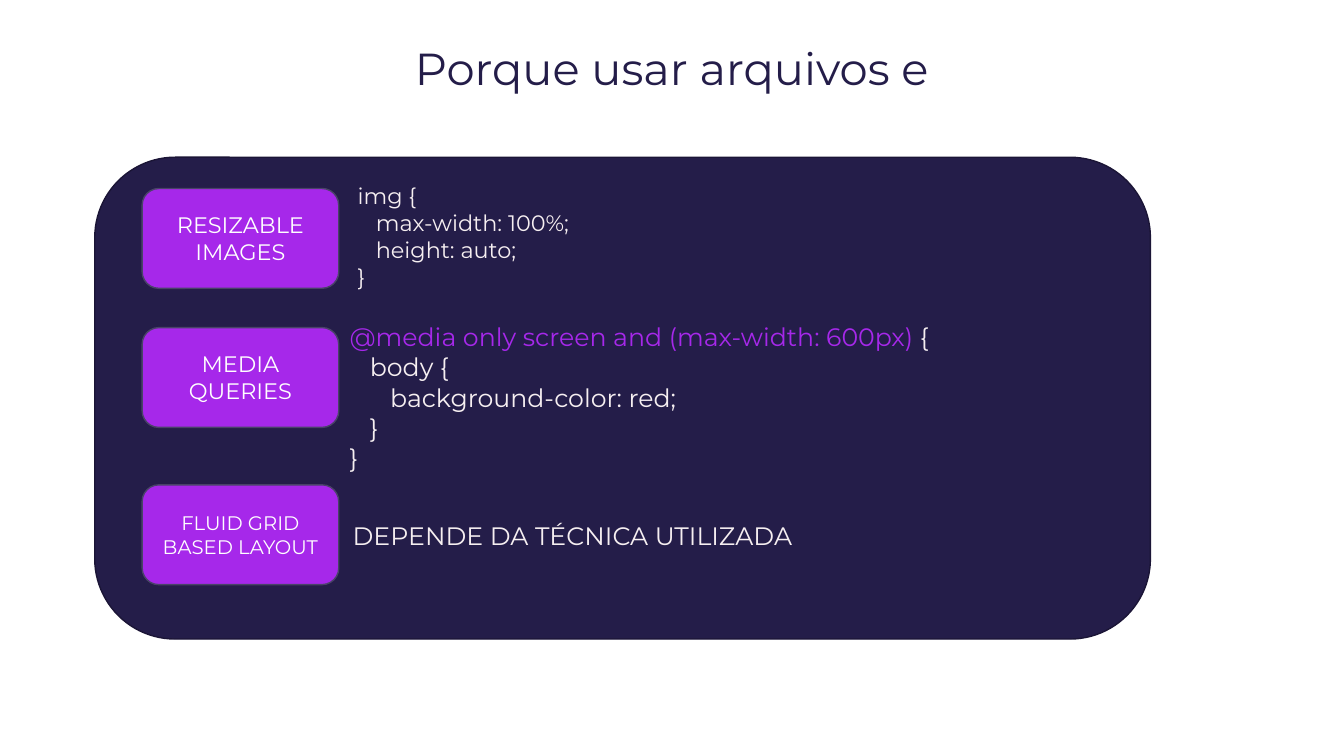
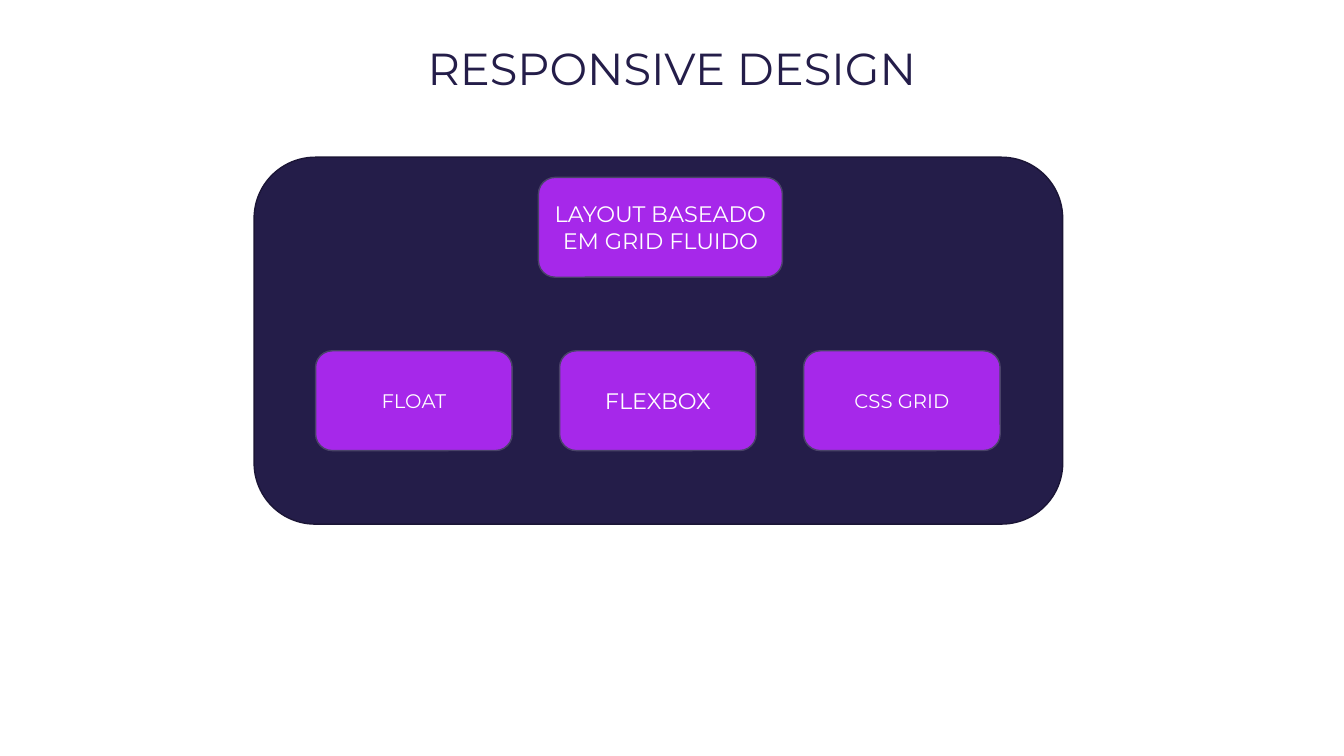
from dataclasses import dataclass

from pptx import Presentation
from pptx.dml.color import RGBColor
from pptx.enum.shapes import MSO_SHAPE
from pptx.enum.text import MSO_ANCHOR, MSO_AUTO_SIZE, PP_ALIGN
from pptx.slide import Slide
from pptx.util import Inches, Pt

ROUNDED = MSO_SHAPE.ROUNDED_RECTANGLE
TOP, MIDDLE = MSO_ANCHOR.TOP, MSO_ANCHOR.MIDDLE
LEFT, CENTER = PP_ALIGN.LEFT, PP_ALIGN.CENTER
NO_FIT, GROW = MSO_AUTO_SIZE.NONE, MSO_AUTO_SIZE.SHAPE_TO_FIT_TEXT
TITLE_ONLY = 5


@dataclass(frozen=True)
class Theme:
    font: str = "Montserrat"
    navy: str = "241D49"
    panel_edge: str = "1B1536"
    purple: str = "A628EA"
    label_edge: str = "494368"
    white: str = "FFFFFF"
    code: str = "F6EFF1"
    title_size: int = 32
    large: int = 18
    medium: int = 16
    small: int = 14


THEME = Theme()


@dataclass(frozen=True)
class Box:
    left: float
    top: float
    width: float
    height: float

    def lengths(self) -> tuple[Inches, Inches, Inches, Inches]:
        return (Inches(self.left), Inches(self.top),
                Inches(self.width), Inches(self.height))


@dataclass(frozen=True)
class Label:
    text: str
    box: Box
    size: int = THEME.medium


@dataclass(frozen=True)
class Span:
    text: str
    color: str = THEME.code


@dataclass(frozen=True)
class Line:
    spans: tuple[Span, ...]
    level: int = 0


@dataclass(frozen=True)
class Snippet:
    box: Box
    size: int
    lines: tuple[Line, ...]
    indent: float = 0


TITLE_BOX = Box(3.9, 0.35, 5.53, 0.64)
LABEL_WIDTH, LABEL_HEIGHT = 1.95, 0.99
TECHNIQUE_LEFT = 1.41
GRID_LEFT, GRID_TOP, GRID_STEP = 3.13, 3.48, 2.42


def code_line(text: str, level: int = 0) -> Line:
    return Line((Span(text),), level)


def label_box(left: float, top: float) -> Box:
    return Box(left, top, LABEL_WIDTH, LABEL_HEIGHT)


TECHNIQUES = (
    Label("RESIZABLE IMAGES", label_box(TECHNIQUE_LEFT, 1.87)),
    Label("MEDIA QUERIES", label_box(TECHNIQUE_LEFT, 3.25)),
    Label("FLUID GRID BASED LAYOUT", label_box(TECHNIQUE_LEFT, 4.81), THEME.small),
)

SNIPPETS = (
    Snippet(Box(3.45, 1.76, 7.74, 1.18), THEME.medium, (
        code_line("img {"),
        code_line("max-width: 100%;", 1),
        code_line("height: auto;", 1),
        code_line("}"),
    ), 0.18),
    Snippet(Box(3.37, 3.14, 6.28, 1.62), THEME.large, (
        Line((Span("@media only screen and (max-width: 600px) ", THEME.purple),
              Span("{"))),
        code_line("body {", 1),
        code_line("background-color: red;", 2),
        code_line("}", 1),
        code_line("}"),
    ), 0.2),
    Snippet(Box(3.4, 5.11, 7.97, 0.4), THEME.large,
            (code_line("DEPENDE DA TÉCNICA UTILIZADA"),)),
)

GRID_OPTIONS = (("FLOAT", THEME.small), ("FLEXBOX", THEME.medium),
                ("CSS GRID", THEME.small))
GRID_LABELS = (
    Label("LAYOUT BASEADO EM GRID FLUIDO", Box(5.34, 1.76, 2.42, LABEL_HEIGHT)),
    *(Label(text, label_box(GRID_LEFT + column * GRID_STEP, GRID_TOP), size)
      for column, (text, size) in enumerate(GRID_OPTIONS)),
)


def style_run(run, size: int, color: str) -> None:
    run.font.name = THEME.font
    run.font.size = Pt(size)
    run.font.color.rgb = RGBColor.from_string(color)


def add_titled_slide(deck, title: str) -> Slide:
    slide = deck.slides.add_slide(deck.slide_layouts[TITLE_ONLY])
    heading = slide.shapes.title
    heading.left, heading.top, heading.width, heading.height = TITLE_BOX.lengths()
    frame = heading.text_frame
    frame.text = title
    frame.word_wrap = False
    frame.auto_size = NO_FIT
    frame.vertical_anchor = TOP
    frame.paragraphs[0].alignment = CENTER
    style_run(frame.paragraphs[0].runs[0], THEME.title_size, THEME.navy)
    return slide


def add_rounded(slide: Slide, box: Box, fill: str, edge: str):
    shape = slide.shapes.add_shape(ROUNDED, *box.lengths())
    shape.shadow.inherit = False
    shape.fill.solid()
    shape.fill.fore_color.rgb = RGBColor.from_string(fill)
    shape.line.color.rgb = RGBColor.from_string(edge)
    shape.line.width = Pt(1)
    return shape


def add_panel(slide: Slide, box: Box) -> None:
    add_rounded(slide, box, THEME.navy, THEME.panel_edge)


def add_label(slide: Slide, label: Label) -> None:
    frame = add_rounded(slide, label.box, THEME.purple, THEME.label_edge).text_frame
    frame.text = label.text
    frame.word_wrap = True
    frame.vertical_anchor = MIDDLE
    frame.paragraphs[0].alignment = CENTER
    style_run(frame.paragraphs[0].runs[0], label.size, THEME.white)


def add_snippet(slide: Slide, snippet: Snippet) -> None:
    frame = slide.shapes.add_textbox(*snippet.box.lengths()).text_frame
    frame.word_wrap = True
    frame.auto_size = GROW
    for number, line in enumerate(snippet.lines):
        paragraph = frame.add_paragraph() if number else frame.paragraphs[0]
        paragraph.alignment = LEFT
        if line.level:
            margin = Inches(line.level * snippet.indent)
            paragraph._p.get_or_add_pPr().set("marL", str(margin))
        for span in line.spans:
            run = paragraph.add_run()
            run.text = span.text
            style_run(run, snippet.size, span.color)


def build_techniques(deck) -> None:
    slide = add_titled_slide(deck, "Porque usar arquivos e")
    add_panel(slide, Box(0.94, 1.56, 10.47, 4.78))
    for technique in TECHNIQUES:
        add_label(slide, technique)
    for snippet in SNIPPETS:
        add_snippet(slide, snippet)


def build_fluid_grid(deck) -> None:
    slide = add_titled_slide(deck, "RESPONSIVE DESIGN")
    add_panel(slide, Box(2.52, 1.56, 8.02, 3.64))
    for label in GRID_LABELS:
        add_label(slide, label)


def main() -> None:
    deck = Presentation()
    deck.slide_width, deck.slide_height = Inches(13.33), Inches(7.5)
    build_techniques(deck)
    build_fluid_grid(deck)
    deck.save("out.pptx")


if __name__ == "__main__":
    main()
